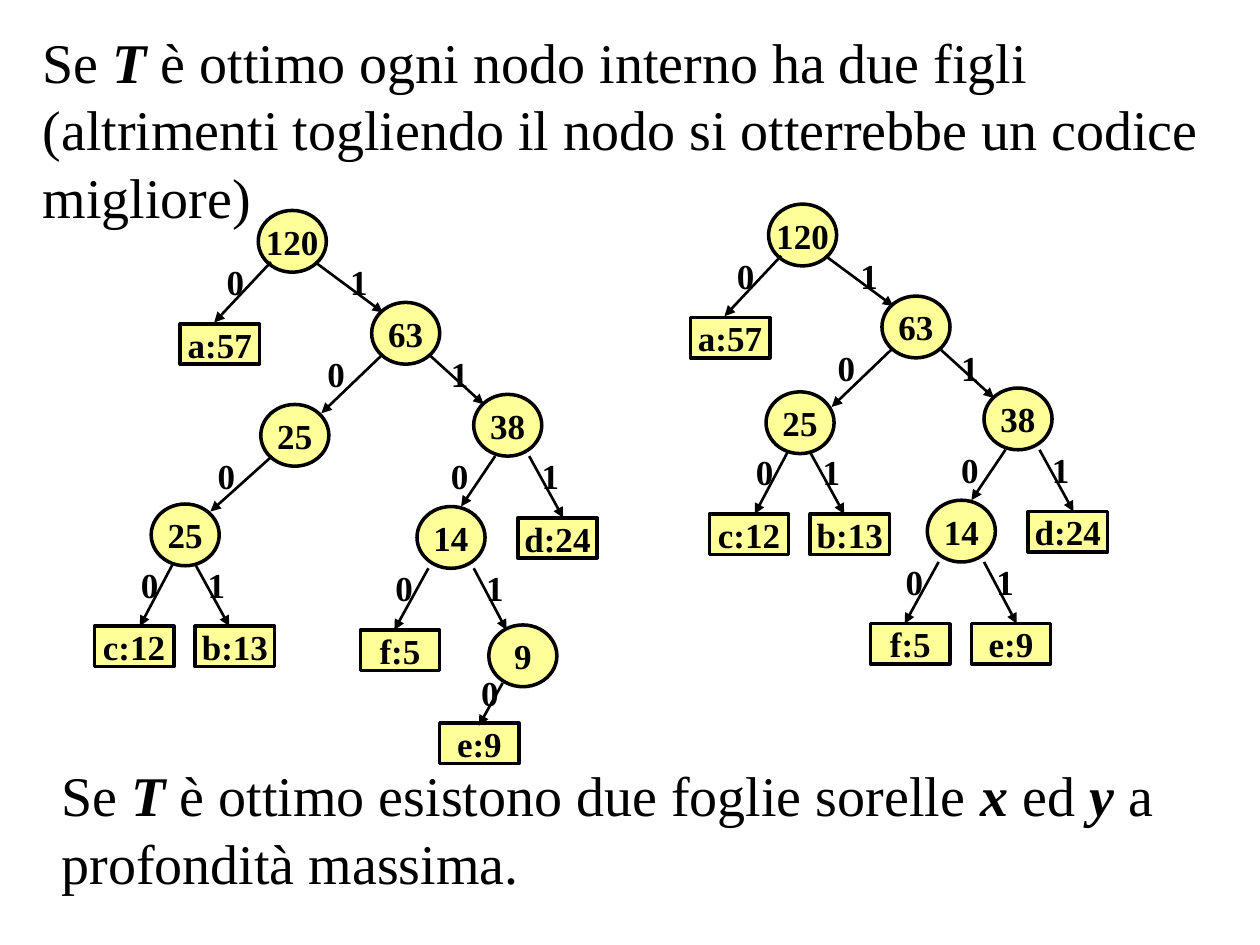
import pptx
import pptx.util
import pptx.dml.color
import pptx.enum.shapes
import pptx.enum.text
import pptx.oxml.ns
import lxml.etree
from dataclasses import dataclass

INCH = pptx.util.Inches
KIND = pptx.enum.shapes.MSO_SHAPE
INK, FILL = "000000", "FFFF99"
SIZES = {KIND.OVAL: (0.54, 0.49), KIND.RECTANGLE: (0.63, 0.32)}


@dataclass
class Node:
    text: str
    x: float
    y: float

    @property
    def kind(self):
        return KIND.RECTANGLE if ":" in self.text else KIND.OVAL


@dataclass
class Edge:
    bit: str
    start: tuple[float, float]
    end: tuple[float, float]
    mark: tuple[float, float]


@dataclass
class Part:
    nodes: list[Node]
    edges: list[Edge]


CORE = Part(
    [Node("120", 0, 0), Node("63", 0.9, 0.73), Node("38", 1.71, 1.46),
     Node("14", 1.26, 2.35), Node("a:57", -0.62, 0.9),
     Node("d:24", 2.06, 2.44), Node("f:5", 0.81, 3.33)],
    [Edge("0", (0.1, 0.41), (-0.35, 0.89), (-0.35, 0.35)),
     Edge("1", (0.45, 0.41), (0.99, 0.81), (0.63, 0.35)),
     Edge("0", (0.99, 1.14), (0.5, 1.61), (0.45, 1.08)),
     Edge("1", (1.35, 1.14), (1.79, 1.54), (1.43, 1.08)),
     Edge("0", (1.88, 1.95), (1.61, 2.35), (1.43, 1.89)),
     Edge("1", (2.15, 1.95), (2.42, 2.44), (2.15, 1.89)),
     Edge("0", (1.35, 2.84), (1.08, 3.33), (0.99, 2.78)),
     Edge("1", (1.71, 2.84), (1.97, 3.33), (1.71, 2.78))])
FORK = Part(
    [Node("25", 0, 0), Node("c:12", -0.45, 0.97), Node("b:13", 0.35, 0.97)],
    [Edge("0", (0.17, 0.48), (-0.09, 0.97), (-0.18, 0.42)),
     Edge("1", (0.35, 0.48), (0.62, 0.97), (0.35, 0.42))])
CHAIN = Part(
    [Node("25", 0.02, 1.54), Node("9", 1.83, 3.29), Node("e:9", 1.44, 4.07)],
    [Edge("0", (0.11, 1.95), (-0.38, 2.39), (-0.42, 1.89)),
     Edge("0", (1.94, 3.75), (1.75, 4.09), (1.67, 3.61))])
LEAF = Part([Node("e:9", 1.61, 3.33)], [])


def tint(code: str):
    return pptx.dml.color.RGBColor.from_string(code)


def style(run, size: float, bold: bool = False, slant: bool = False):
    font = run.font
    font.name = "Times New Roman"
    font.size = pptx.util.Pt(size)
    font.bold, font.italic = bold, slant
    font.color.rgb = tint(INK)


def add_node(slide, node: Node, x: float, y: float):
    w, h = SIZES[node.kind]
    shape = slide.shapes.add_shape(
        node.kind, INCH(x + node.x), INCH(y + node.y), INCH(w), INCH(h))
    shape.shadow.inherit = False
    shape.fill.solid()
    shape.fill.fore_color.rgb = tint(FILL)
    shape.line.color.rgb = tint(INK)
    shape.line.width = pptx.util.Pt(2)
    frame = shape.text_frame
    frame.word_wrap = False
    frame.vertical_anchor = pptx.enum.text.MSO_ANCHOR.MIDDLE
    frame.text = node.text
    para = frame.paragraphs[0]
    para.alignment = pptx.enum.text.PP_ALIGN.CENTER
    style(para.runs[0], 20, True)


def add_edge(slide, edge: Edge, x: float, y: float):
    (ax, ay), (bx, by) = edge.start, edge.end
    line = slide.shapes.add_connector(
        pptx.enum.shapes.MSO_CONNECTOR.STRAIGHT,
        INCH(x + ax), INCH(y + ay), INCH(x + bx), INCH(y + by))
    line.line.color.rgb = tint(INK)
    line.line.width = pptx.util.Pt(1.5)
    qn = pptx.oxml.ns.qn
    props = line._element.spPr
    tip = lxml.etree.SubElement(props.find(qn("a:ln")), qn("a:tailEnd"))
    tip.set("type", "triangle")
    lxml.etree.SubElement(props, qn("a:effectLst"))


def add_bit(slide, edge: Edge, x: float, y: float):
    mx, my = edge.mark
    box = slide.shapes.add_textbox(
        INCH(x + mx), INCH(y + my), INCH(0.34), INCH(0.44))
    box.text_frame.word_wrap = False
    box.text_frame.text = edge.bit
    style(box.text_frame.paragraphs[0].runs[0], 20, True)


def add_part(slide, part: Part, x: float, y: float):
    for node in part.nodes:
        add_node(slide, node, x, y)
    for edge in part.edges:
        add_edge(slide, edge, x, y)
        add_bit(slide, edge, x, y)


def add_prose(slide, words: list[str], x: float, y: float, w: float, h: float):
    box = slide.shapes.add_textbox(INCH(x), INCH(y), INCH(w), INCH(h))
    box.text_frame.word_wrap = True
    para = box.text_frame.paragraphs[0]
    for i, word in enumerate(words):
        run = para.add_run()
        run.text = word
        style(run, 32, i % 2 == 1, i % 2 == 1)


deck = pptx.Presentation()
deck.slide_width, deck.slide_height = INCH(10), INCH(7.5)
slide = deck.slides.add_slide(deck.slide_layouts[6])

add_prose(slide, ["Se ", "T", " è ottimo ogni nodo interno ha due figli "
                  "(altrimenti togliendo il nodo si otterrebbe un codice "
                  "migliore)"], 0.24, 0.17, 9.57, 1.72)
for part, x, y in [
        (CORE, 6.1, 1.62), (FORK, 6.08, 3.11), (LEAF, 6.1, 1.62),
        (CORE, 2.05, 1.67), (FORK, 1.2, 4), (CHAIN, 2.05, 1.67)]:
    add_part(slide, part, x, y)
add_prose(slide, ["Se ", "T", " è ottimo esistono due foglie sorelle ", "x",
                  " ed ", "y ", "a profondità massima."],
          0.39, 5.99, 9.37, 1.18)

deck.save("out.pptx")
